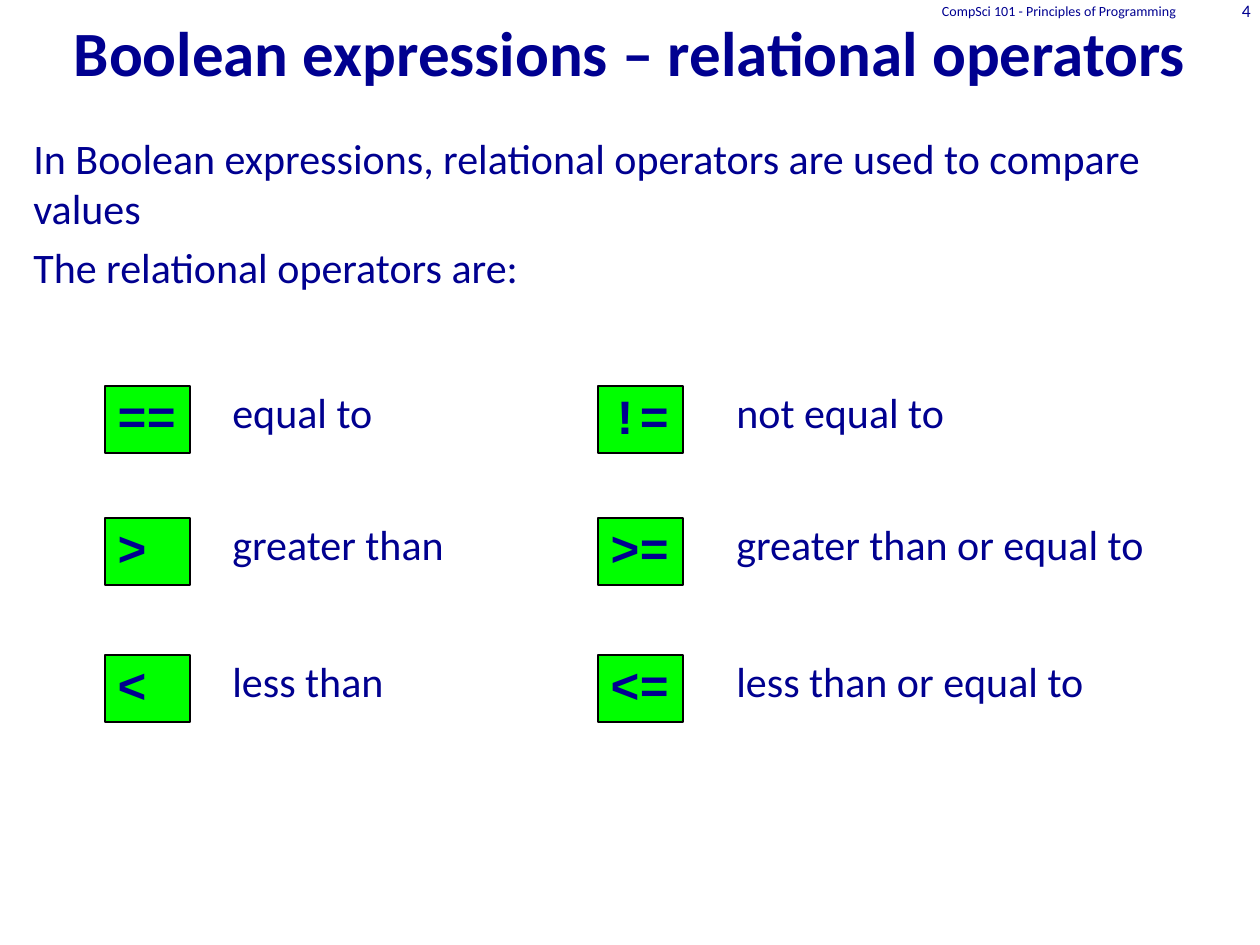
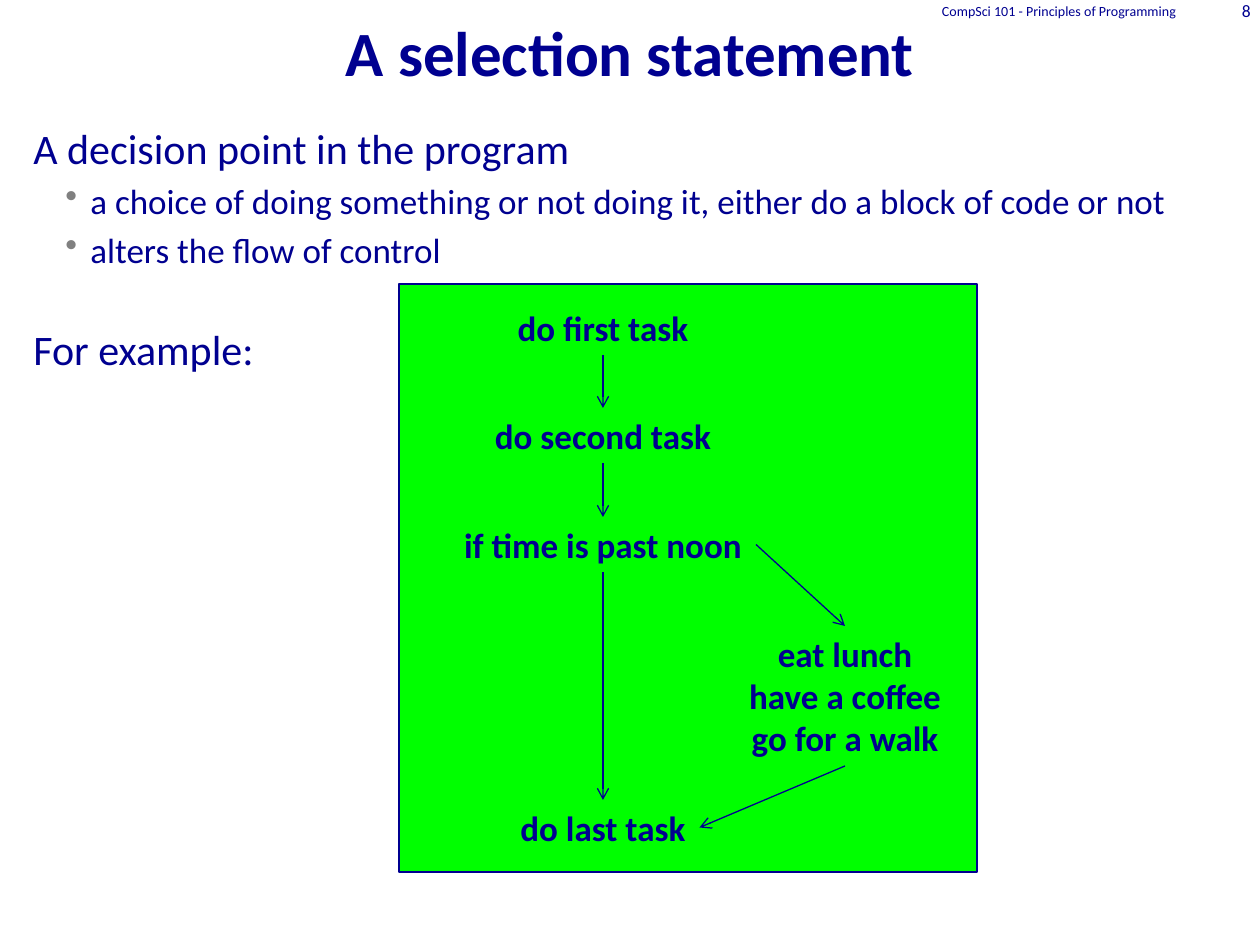
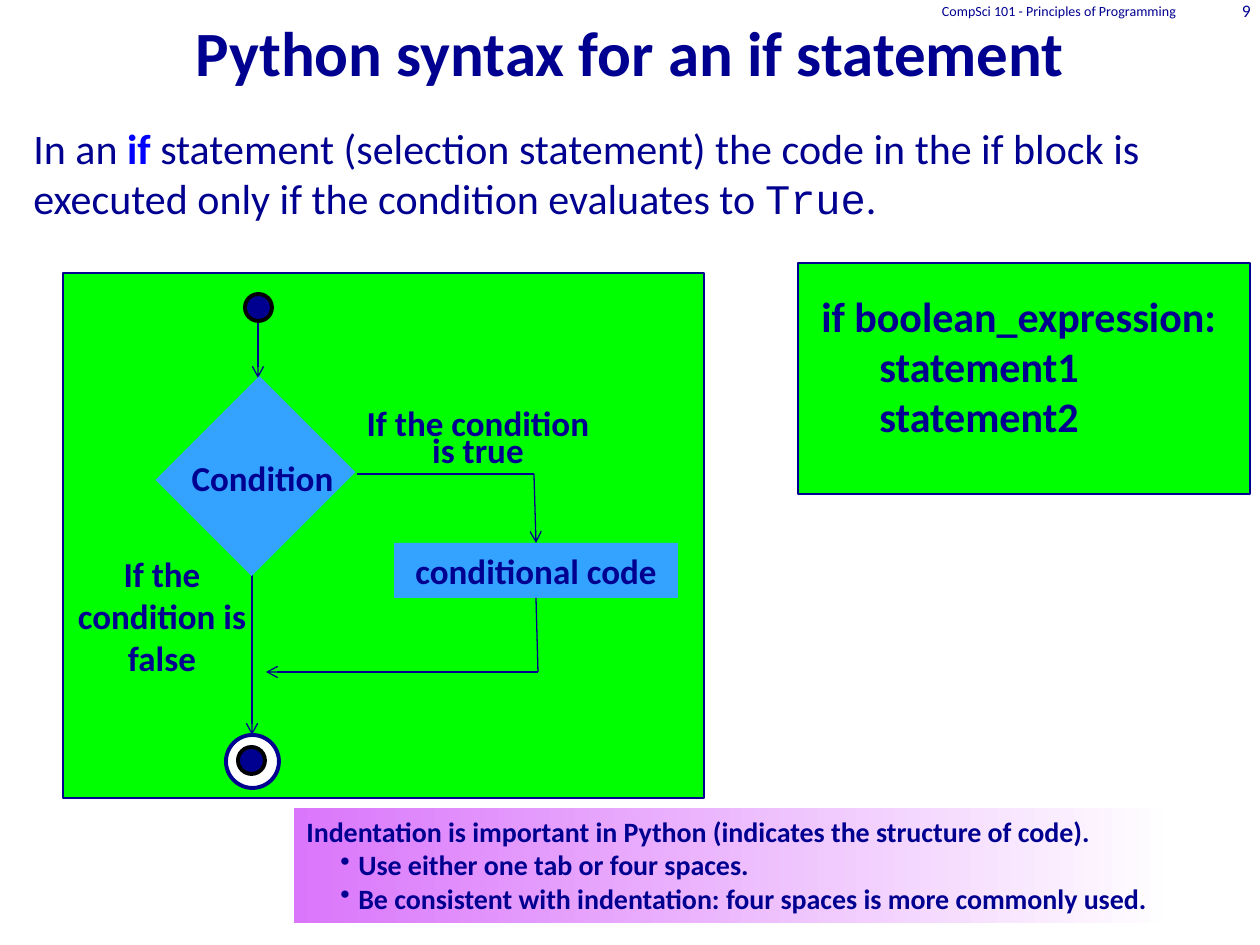
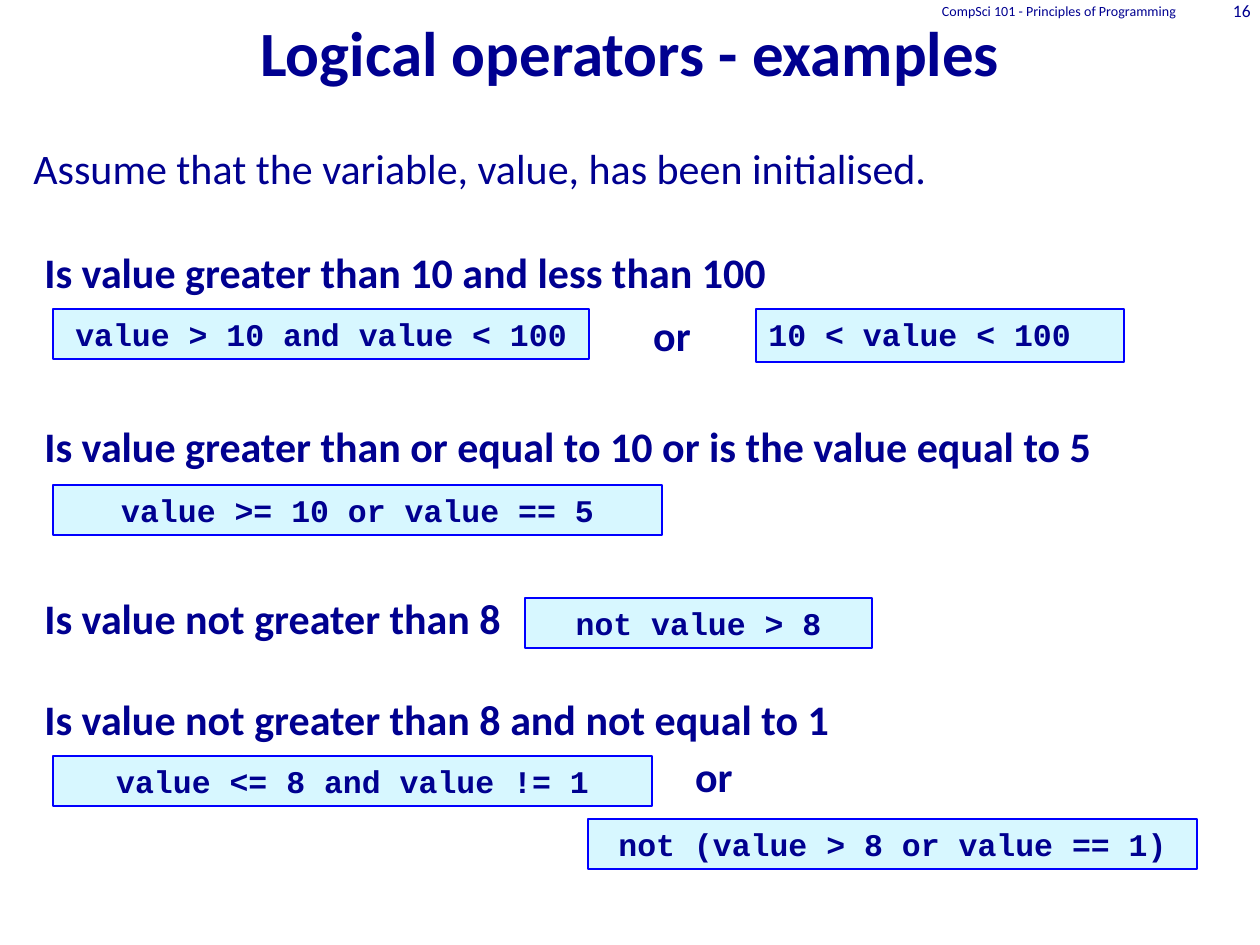
from lxml.etree import SubElement
from pptx import Presentation
from pptx.dml.color import RGBColor as Rgb
from pptx.enum.shapes import MSO_CONNECTOR as Link, MSO_SHAPE as Kind
from pptx.enum.text import MSO_ANCHOR as Anchor, PP_ALIGN as Align
from pptx.oxml.ns import qn
from pptx.util import Emu, Pt

HUES = {"ink": "000090", "black": "000000", "white": "FFFFFF", "green": "00FF00",
        "sky": "33A3FF", "pale": "D7F7FF", "blue": "0000FF", "pink": "DA76FB",
        "grey": "808080"}
SANS, MONO = "Calibri", "Courier New"
COURSE = "CompSci 101 - Principles of Programming"

SIGN_ROWS = [
    (386, [("==", "equal to"), ("!=", "not equal to")]),
    (518, [(">", "greater than"), (">=", "greater than or equal to")]),
    (655, [("<", "less than"), ("<=", "less than or equal to")]),
]
SIGN_COLS = [(105, 220, 305), (598, 724, 504)]
SIGN_TEXT = ["In Boolean expressions, relational operators are used to compare values",
             "The relational operators are:"]

POINT = {"size": 20, "left": 57, "hang": 25, "dot": "grey"}
CHOICE_TEXT = [
    "A decision point in the program",
    {"text": "a choice of doing something or not doing it, either do a block of code or not",
     **POINT},
    {"text": "alters the flow of control", **POINT},
    {"text": "For example:", "before": 30},
]
AXIS = 603
TASKS = {
    "first": ("do first task", 300, 199),
    "second": ("do second task", 408, 243),
    "test": ("if time is past noon", 517, 306),
    "last": ("do last task", 800, 193),
}
LUNCH = ["eat lunch", "have a coffee", "go for a walk"]
FLOW = [("first", 2, "second", 0), ("second", 2, "test", 0), ("test", 2, "last", 0),
        ("test", 3, "lunch", 0), ("lunch", 2, "last", 3)]

IF_TEXT = [{"text": [
    ("In an", {}), (" if ", {"bold": True, "hue": "blue"}),
    ("statement (selection statement) the code in the if block is executed "
     "only if the condition evaluates to ", {}),
    ("True", {"font": MONO}), (".", {})]}]
SYNTAX = ["if boolean_expression:", {"text": "statement1", "left": 58},
          {"text": "statement2", "left": 58}]
RULE = {"left": 52, "hang": 18, "dot": "ink"}
RULES = [
    "Indentation is important in Python (indicates the structure of code).",
    {"text": "Use either one tab or four spaces.", **RULE},
    {"text": "Be consistent with indentation: four spaces is more commonly used.", **RULE},
]
DISCS = [(245, 294, 27, "ink", "black"), (226, 735, 53, "white", "ink"),
         (238, 747, 27, "ink", "black")]
PATHS = [((258, 321), (258, 378), True), ((252, 514), (252, 735), True),
         ((534, 474), (357, 474), False), ((538, 672), (266, 672), True)]

ASK_TEXT = ["Assume that the variable, value, has been initialised."]
ASKS = [
    (246, "Is value greater than 10 and less than 100"),
    (420, "Is value greater than or equal to 10 or is the value equal to 5"),
    (592, "Is value not greater than 8"),
    (693, "Is value not greater than 8 and not equal to 1"),
]
CODES = [
    ((53, 309, 536, 50), "value > 10 and value < 100", Align.CENTER),
    ((756, 309, 368, 53), "10 < value < 100", Align.LEFT),
    ((53, 485, 609, 50), "value >= 10 or value == 5", Align.CENTER),
    ((525, 598, 347, 50), "not value > 8", Align.CENTER),
    ((53, 756, 599, 50), "value <= 8 and value != 1", Align.CENTER),
    ((588, 819, 609, 50), "not (value > 8 or value == 1)", Align.CENTER),
]
ORS = [(609, 309), (651, 750)]


def px(num):
    return Emu(round(num * 914400 / 126))


def tint(name):
    return Rgb.from_string(HUES[name])


def style(font, size=None, face=None, hue=None, bold=None):
    if size:
        font.size = Pt(size)
    if face:
        font.name = face
    if hue:
        font.color.rgb = tint(hue)
    if bold is not None:
        font.bold = bold


def indent(par, left, hang, dot):
    props = par._p.get_or_add_pPr()
    props.set("marL", str(px(left)))
    props.set("indent", str(-px(hang)))
    if dot:
        color = SubElement(props, qn("a:buClr"))
        SubElement(color, qn("a:srgbClr")).set("val", HUES[dot])
        SubElement(props, qn("a:buChar")).set("char", "•")


def write(shape, items, size=24, font=SANS, bold=False, align=Align.LEFT,
          lift=0, lead=None, anchor=Anchor.TOP):
    frame = shape.text_frame
    frame.word_wrap = True
    frame.vertical_anchor = anchor
    for num, item in enumerate(items):
        item = item if isinstance(item, dict) else {"text": item}
        par = frame.add_paragraph() if num else frame.paragraphs[0]
        big = item.get("size", size)
        par.alignment = align
        par.space_before = Pt(item.get("before", big * lift))
        if lead:
            par.line_spacing = lead
        if "left" in item:
            indent(par, item["left"], item.get("hang", 0), item.get("dot"))
        style(par.font, big, font, "ink", bold)
        text = item["text"]
        for part, look in [(text, {})] if isinstance(text, str) else text:
            run = par.add_run()
            run.text = part
            style(run.font, face=look.get("font"), hue=look.get("hue"),
                  bold=look.get("bold"))


def label(page, box, items, **look):
    shape = page.shapes.add_textbox(*map(px, box))
    write(shape, items, **look)
    return shape


def block(page, box, fill, edge=None, wide=0.75, kind=Kind.RECTANGLE):
    shape = page.shapes.add_shape(kind, *map(px, box))
    shape.shadow.inherit = False
    shape.fill.solid()
    shape.fill.fore_color.rgb = tint(fill)
    if edge:
        shape.line.color.rgb = tint(edge)
        shape.line.width = Pt(wide)
    else:
        shape.line.fill.background()
    return shape


def link(page, start=(0, 0), end=(0, 0), head=True):
    line = page.shapes.add_connector(Link.STRAIGHT, *map(px, (*start, *end)))
    line.line.color.rgb = tint("ink")
    line.line.width = Pt(0.75)
    if head:
        SubElement(line.line._get_or_add_ln(), qn("a:tailEnd")).set("type", "arrow")
    SubElement(line._element.spPr, qn("a:effectLst"))
    return line


def start(deck, title, num, top, body):
    page = deck.slides.add_slide(deck.slide_layouts[6])
    page.background.fill.solid()
    page.background.fill.fore_color.rgb = tint("white")
    label(page, (0, -10, 1260, 105), [title], size=36, bold=True,
          align=Align.CENTER, anchor=Anchor.BOTTOM)
    label(page, (21, top, 1207, 646), body, lift=0.2)
    for box, text, size in [((811, 0, 378, 21), COURSE, 8), ((1189, 0, 74, 21), num, 10)]:
        label(page, box, [text], size=size, align=Align.RIGHT, anchor=Anchor.MIDDLE)
    return page


TIGHT = {"align": Align.JUSTIFY, "lift": 0.2, "lead": 0.9}


def signs(deck):
    page = start(deck, "Boolean expressions – relational operators", "4", 126, SIGN_TEXT)
    for top, pairs in SIGN_ROWS:
        for (left, side, wide), (sign, text) in zip(SIGN_COLS, pairs):
            key = block(page, (left, top, 85, 67), "green", "black")
            write(key, [sign], size=28, font=MONO, bold=True, **TIGHT)
            label(page, (side, top, wide, 59), [text], **TIGHT)


def choice(deck):
    page = start(deck, "A selection statement", "8", 116, CHOICE_TEXT)
    block(page, (399, 284, 578, 588), "green", "ink")
    look = {"size": 20, "bold": True, "align": Align.CENTER}
    nodes = {name: label(page, (AXIS - wide / 2, top, wide, 55), [text], **look)
             for name, (text, top, wide) in TASKS.items()}
    nodes["lunch"] = label(page, (703, 626, 284, 140), LUNCH, **look)
    for tail, out, head, into in FLOW:
        line = link(page)
        line.begin_connect(nodes[tail], out)
        line.end_connect(nodes[head], into)


def syntax(deck):
    page = start(deck, "Python syntax for an if statement", "9", 116, IF_TEXT)
    block(page, (798, 263, 452, 231), "green", "ink")
    label(page, (809, 284, 483, 165), SYNTAX, bold=True)

    block(page, (63, 273, 641, 525), "green", "ink")
    look = {"size": 20, "bold": True, "align": Align.CENTER}
    label(page, (347, 410, 262, 71), ["If the condition is true"], lead=Pt(15.6), **look)
    label(page, (63, 546, 198, 140), ["If the condition is false"], **look)
    code = block(page, (394, 543, 284, 55), "sky")
    write(code, ["conditional code"], **look)
    for begin, end, head in PATHS:
        link(page, begin, end, head)
    link(page, (534, 474), (536, 543)).end_connect(code, 0)
    link(page, (536, 598), (538, 672), False).begin_connect(code, 2)
    for left, top, wide, fill, edge in DISCS:
        block(page, (left, top, wide, wide), fill, edge, 2.25, Kind.OVAL)
    block(page, (182, 408, 147, 136), "sky").rotation = 315
    label(page, (178, 450, 169, 55), ["Condition"], **look)

    note = block(page, (294, 808, 882, 115), "pink")
    note.fill.gradient()
    note.fill.gradient_angle = 0
    for stop, spot, hue in zip(note.fill.gradient_stops, (0, 1), ("pink", "white")):
        stop.position = spot
        stop.color.rgb = tint(hue)
    write(note, RULES, size=16, bold=True)


def logic(deck):
    page = start(deck, "Logical operators - examples", "16", 136, ASK_TEXT)
    for top, text in ASKS:
        label(page, (32, top, 1134, 59), [text], bold=True, **TIGHT)
    for box, text, align in CODES:
        write(block(page, box, "pale", "blue"), [text], size=18, font=MONO,
              bold=True, align=align)
    for left, top in ORS:
        label(page, (left, top, 126, 59), ["or"], bold=True,
              **{**TIGHT, "align": Align.CENTER})


def main():
    deck = Presentation()
    deck.slide_width, deck.slide_height = px(1260), px(945)
    for build in (signs, choice, syntax, logic):
        build(deck)
    deck.save("out.pptx")


if __name__ == "__main__":
    main()
